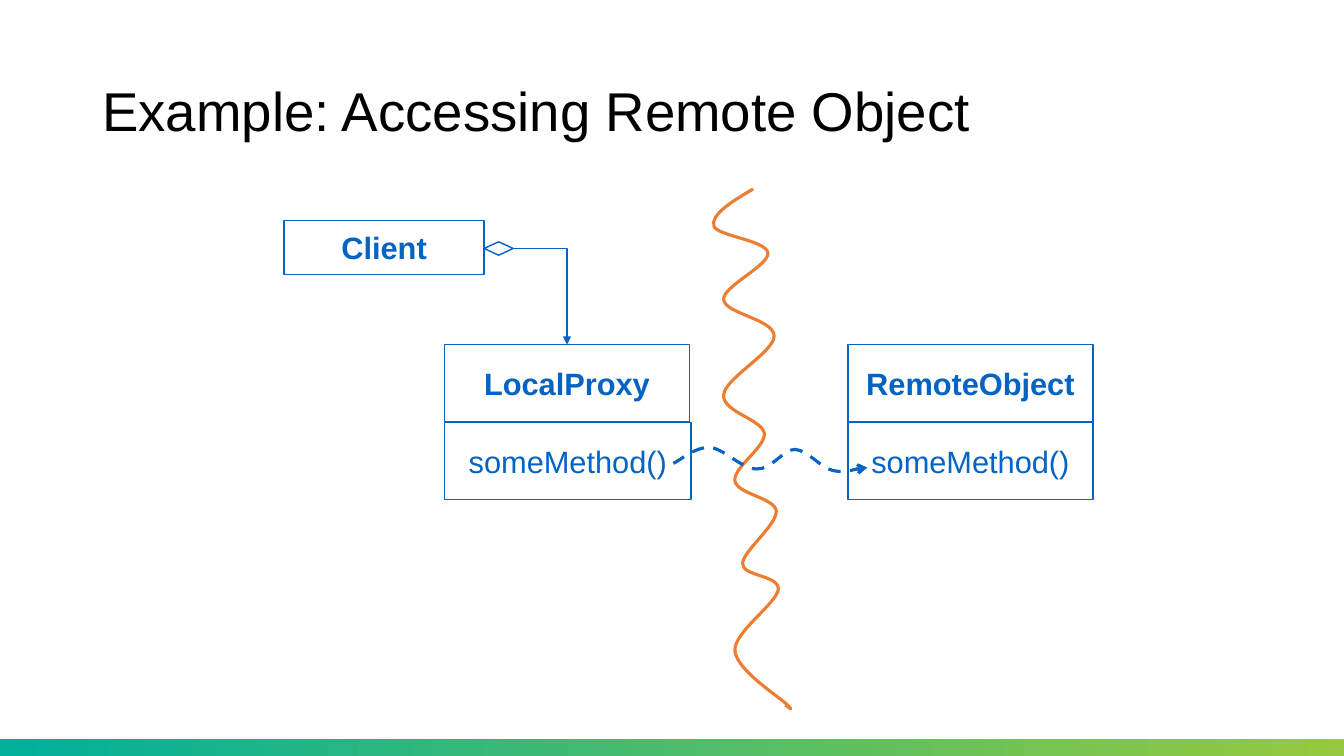
from lxml import etree
from pptx import Presentation
from pptx import util as u
from pptx.dml.color import RGBColor
from pptx.enum import dml, shapes, text
from pptx.oxml.ns import qn

FONT = "Arial"
BLUE, ORANGE, BLACK = "0563C1", "ED7D31", "000000"
TEAL, GREEN = "00B09B", "96C93D"
BOX_W, BOX_H = 175, 55.4
BOX_TOP, PROXY_X, REMOTE_X = 246.2, 317.5, 605.7

BOUNDARY = [
    (538, 135),
    (522.5, 144), (507.5, 153.5), (510, 161.5),
    (512, 168.5), (547, 171.5), (548.5, 180.5),
    (550, 189.5), (516, 204.5), (517, 214),
    (517.5, 224), (553, 228), (553, 240),
    (553, 251.5), (517.5, 270.5), (517, 282),
    (515.5, 294), (544.5, 299.5), (546, 309.5),
    (547, 319.5), (523.5, 334), (525, 343.5),
    (526.5, 353), (553.5, 355.5), (554.5, 365),
    (555, 375), (530.5, 394), (530.5, 402.5),
    (530.5, 412), (556.5, 410.5), (556, 421),
    (554.5, 431.5), (524, 451.5), (525, 465),
    (526.5, 479), (556.5, 497.5), (562.5, 503.5),
    (568.5, 510), (561.5, 503.5), (561, 503.5),
]
REMOTE_CALL = [
    (481, 331),
    (485.5, 329), (497, 319), (507, 319.5),
    (517, 320.5), (530, 335), (540.5, 335),
    (551, 335.5), (559.5, 321), (568, 321),
    (577.5, 322), (586, 334), (594.5, 336),
    (603.5, 338), (614, 334), (619.5, 334),
]


def rgb(value):
    """Turn a hex string into a colour."""
    return RGBColor.from_string(value)


def set_line(sp, color, width):
    """Give a shape or connector a plain line."""
    sp.line.color.rgb = rgb(color)
    sp.line.width = u.Pt(width)


def add_arrowhead(sp, kind):
    """Put an arrowhead at the end of a line."""
    etree.SubElement(sp.line._get_or_add_ln(), qn("a:tailEnd"), type=kind)


def write(sp, words, size=22, color=BLUE, bold=False, wrap=False,
          align=text.PP_ALIGN.CENTER, spacing=None):
    """Write one vertically centred paragraph in a shape."""
    tf = sp.text_frame
    tf.word_wrap = wrap
    tf.vertical_anchor = text.MSO_ANCHOR.MIDDLE
    p = tf.paragraphs[0]
    p.alignment = align
    p.line_spacing = spacing
    r = p.add_run()
    r.text = words
    r.font.name = FONT
    r.font.size = u.Pt(size)
    r.font.bold = bold
    r.font.color.rgb = rgb(color)


def add_outline(s, x, y, w, h, kind=shapes.MSO_SHAPE.RECTANGLE):
    """Add an unfilled shape with a thin blue line."""
    sp = s.shapes.add_shape(kind, u.Pt(x), u.Pt(y), u.Pt(w), u.Pt(h))
    sp.shadow.inherit = False
    sp.fill.background()
    set_line(sp, BLUE, 1)
    return sp


def add_class(s, x, name, method, method_w=BOX_W):
    """Add a class box over its method box and return the class box."""
    head = add_outline(s, x, BOX_TOP, BOX_W, BOX_H)
    write(head, name, bold=True)
    write(add_outline(s, x, BOX_TOP + BOX_H, method_w, BOX_H), method)
    return head


def add_curve(s, knots, color):
    """Add an open chain of cubic Bezier curves."""
    points = [(u.Pt(x), u.Pt(y)) for x, y in knots]
    builder = s.shapes.build_freeform(*points[0])
    builder.add_line_segments(points[1:], close=False)
    sp = builder.convert_to_shape()
    outline = next(sp._element.iter(qn("a:path")))
    segments = outline.findall(qn("a:lnTo"))
    for i in range(0, len(segments), 3):
        curve = etree.SubElement(outline, qn("a:cubicBezTo"))
        for segment in segments[i:i + 3]:
            curve.append(segment[0])
            outline.remove(segment)
    sp.shadow.inherit = False
    sp.fill.background()
    set_line(sp, color, 2.25)
    return sp


def add_elbow(s, start, end):
    """Join the right of one shape to the top of another with one bend."""
    cxn = s.shapes.add_connector(shapes.MSO_CONNECTOR.ELBOW, 0, 0, 0, 0)
    cxn.begin_connect(start, 3)
    cxn.end_connect(end, 0)
    spPr = cxn._element.spPr
    spPr.find(qn("a:prstGeom")).set("prst", "bentConnector2")
    set_line(cxn, BLUE, 1)
    add_arrowhead(cxn, "triangle")
    etree.SubElement(spPr, qn("a:effectLst"))


def add_footer(s):
    """Add the gradient band along the bottom edge."""
    sp = s.shapes.add_shape(shapes.MSO_SHAPE.RECTANGLE,
                            0, u.Pt(528), u.Pt(960), u.Pt(12))
    sp.shadow.inherit = False
    sp.line.fill.background()
    sp.fill.gradient()
    sp.fill.gradient_angle = 0
    for stop, color in zip(sp.fill.gradient_stops, (TEAL, GREEN)):
        stop.color.rgb = rgb(color)


def main():
    """Build the slide and save it."""
    prs = Presentation()
    prs.slide_width, prs.slide_height = u.Pt(960), u.Pt(540)
    s = prs.slides.add_slide(prs.slide_layouts[6])
    add_footer(s)
    title = s.shapes.add_textbox(u.Pt(66), u.Pt(28.75), u.Pt(828), u.Pt(104.5))
    write(title, "Example: Accessing Remote Object", size=39, color=BLACK,
          wrap=True, align=text.PP_ALIGN.LEFT, spacing=0.9)
    write(add_outline(s, 203, 157.4, 142.8, 38.6), "Client", bold=True)
    add_curve(s, BOUNDARY, ORANGE)
    remote = s.shapes.add_group_shape()
    add_class(remote, REMOTE_X, "RemoteObject", "someMethod()")
    proxy = add_class(s, PROXY_X, "LocalProxy", "someMethod()", method_w=176.2)
    call = add_curve(s, REMOTE_CALL, BLUE)
    call.line.dash_style = dml.MSO_LINE.DASH
    add_arrowhead(call, "arrow")
    diamond = add_outline(s, 345.8, 172.7, 20.8, 9.6, shapes.MSO_SHAPE.DIAMOND)
    add_elbow(s, diamond, proxy)
    prs.save("out.pptx")


if __name__ == "__main__":
    main()
